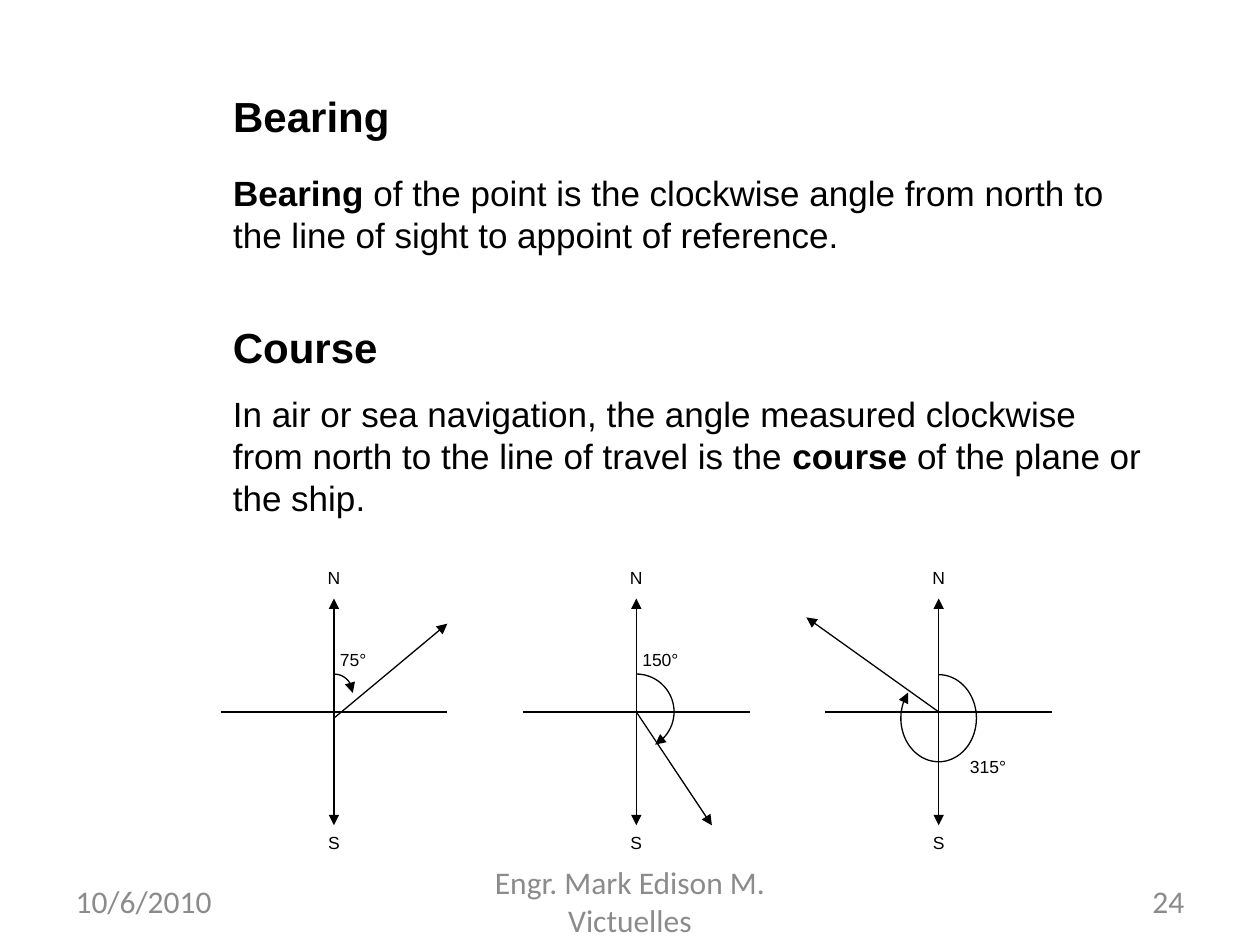
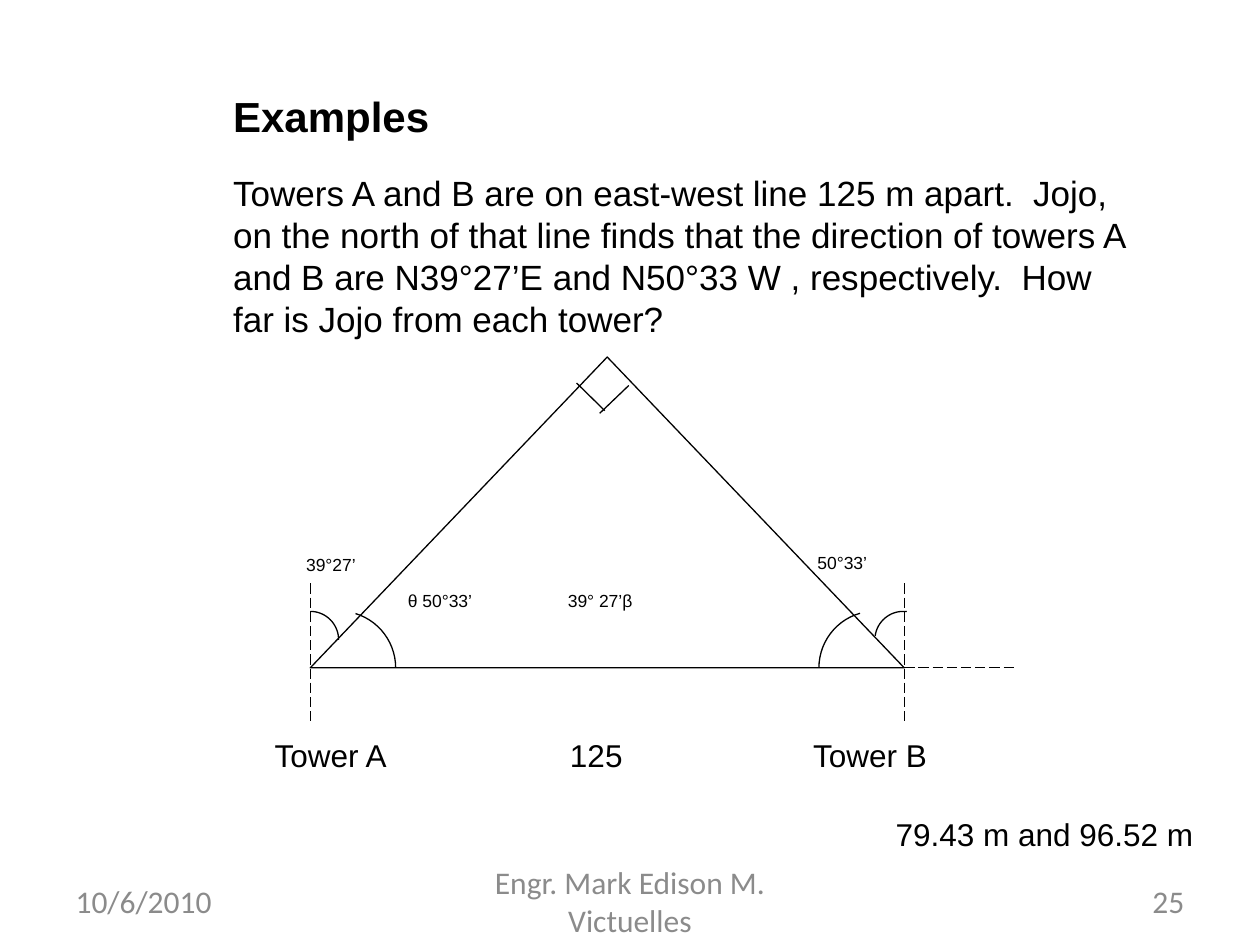
from copy import deepcopy
from math import cos, radians, sin

from lxml.etree import SubElement
from pptx import Presentation
from pptx.dml.color import RGBColor
from pptx.enum.dml import MSO_LINE as Dash
from pptx.enum.shapes import MSO_CONNECTOR as Connector, MSO_SHAPE as Shape, PP_PLACEHOLDER as Holder
from pptx.enum.text import MSO_ANCHOR as Anchor, MSO_AUTO_SIZE as AutoSize, PP_ALIGN as Align
from pptx.oxml.ns import qn
from pptx.util import Pt

BLACK = RGBColor(0, 0, 0)
WHITE = RGBColor(255, 255, 255)
FONT = "Arial"
TITLE_SIZE, BODY_SIZE, LABEL_SIZE, NOTE_SIZE = 24, 20, 18, 10
LINE_WIDTH = 0.75
TEXT_LEFT, TITLE_WIDTH, BODY_WIDTH = 126, 546, 534
TITLE_TOP, BODY_TOP = 48, 94.5
FIRST_NUMBER = 24
DATE, AUTHOR = "10/6/2010", "Engr. Mark Edison M. Victuelles"


def write(frame, text, size=NOTE_SIZE, bold=False, strong=None, align=Align.LEFT):
    frame.word_wrap = True
    frame.auto_size = AutoSize.NONE
    frame.vertical_anchor = Anchor.TOP
    para = frame.paragraphs[0]
    para.alignment = align
    para.space_before = Pt(0)
    before, word, after = text.partition(strong) if strong else (text, "", "")
    for part, heavy in ((before, bold), (word, True), (after, bold)):
        if part:
            span = para.add_run()
            span.text = part
            span.font.name = FONT
            span.font.size = Pt(size)
            span.font.bold = heavy
            span.font.color.rgb = BLACK
    return para


class Page:
    def __init__(self, deck, number):
        self.slide = deck.slides.add_slide(deck.slide_layouts[1])
        self.shapes = self.slide.shapes
        self.footer(number)

    def footer(self, number):
        texts = {Holder.DATE: DATE, Holder.FOOTER: AUTHOR}
        for source in self.slide.slide_layout.placeholders:
            kind = source.placeholder_format.type
            if kind in texts or kind == Holder.SLIDE_NUMBER:
                self.shapes._spTree.append(deepcopy(source.element))
                box = self.shapes[-1]
                if kind in texts:
                    box.text_frame.text = texts[kind]
                else:
                    box.element.find(".//" + qn("a:t")).text = str(number)

    def place(self, box, left, top, width, height):
        box.left, box.top, box.width, box.height = map(Pt, (left, top, width, height))

    def title(self, text):
        box = self.shapes.title
        self.place(box, TEXT_LEFT, TITLE_TOP, TITLE_WIDTH, 36)
        write(box.text_frame, text, size=TITLE_SIZE, bold=True)

    def body(self, text, height, strong=None):
        box = self.slide.placeholders[1]
        self.place(box, TEXT_LEFT, BODY_TOP, BODY_WIDTH, height)
        properties = box.text_frame.paragraphs[0]._p.get_or_add_pPr()
        properties.set("marL", "0")
        properties.set("indent", "0")
        SubElement(properties, qn("a:buNone"))
        write(box.text_frame, text, size=BODY_SIZE, strong=strong)

    def text(self, text, left, top, width, height, **style):
        box = self.shapes.add_textbox(*map(Pt, (left, top, width, height)))
        write(box.text_frame, text, **style)

    def outline(self, shape, head=False, tail=False, dash=None):
        shape.line.color.rgb = BLACK
        shape.line.width = Pt(LINE_WIDTH)
        if dash:
            shape.line.dash_style = dash
        stroke = shape.element.spPr.find(qn("a:ln"))
        for name, wanted in (("a:headEnd", head), ("a:tailEnd", tail)):
            if wanted:
                SubElement(stroke, qn(name), type="triangle")

    def line(self, x1, y1, x2, y2, **ends):
        connector = self.shapes.add_connector(Connector.STRAIGHT, *map(Pt, (x1, y1, x2, y2)))
        self.outline(connector, **ends)
        SubElement(connector.element.spPr, qn("a:effectLst"))

    def arc(self, x, y, radius_x, radius_y, start, end, **ends):
        steps = max(12, abs(end - start) // 5)
        angles = [radians(start + (end - start) * step / steps) for step in range(steps + 1)]
        points = [(Pt(x + radius_x * sin(a)), Pt(y - radius_y * cos(a))) for a in angles]
        builder = self.shapes.build_freeform(*points[0])
        builder.add_line_segments(points[1:], close=False)
        curve = builder.convert_to_shape()
        curve.fill.background()
        curve.shadow.inherit = False
        self.outline(curve, **ends)

    def triangle(self, left, top, width, height):
        shape = self.shapes.add_shape(Shape.ISOSCELES_TRIANGLE, *map(Pt, (left, top, width, height)))
        shape.fill.solid()
        shape.fill.fore_color.rgb = WHITE
        shape.shadow.inherit = False
        self.outline(shape)

    def compass(self, x, y, reach=64.8):
        self.line(x, y - reach, x, y + reach, head=True, tail=True)
        self.line(x - reach, y, x + reach, y)
        for letter, top in (("N", y - 86.4), ("S", y + reach)):
            self.text(letter, x - 21.6, top, 43.2, 32.4, align=Align.CENTER)


def bearing_page(deck):
    page = Page(deck, FIRST_NUMBER)
    page.title("Bearing")
    page.body("Bearing of the point is the clockwise angle from north to the line of sight "
              "to appoint of reference.", 55.5, strong="Bearing")
    page.text("Course", TEXT_LEFT, 180, TITLE_WIDTH, 36, size=TITLE_SIZE, bold=True)
    page.text("In air or sea navigation, the angle measured clockwise from north to the line "
              "of travel is the course of the plane or the ship.",
              TEXT_LEFT, 220.5, BODY_WIDTH, 79, size=BODY_SIZE, strong="course")

    first, gap, middle = 190.8, 172.8, 406.8
    diagrams = [
        ("75°", (-3.6, -39.6), 3.6, (64.8, -50.4), (-10.8, 10.8, 10.8, 90)),
        ("150°", (-3.6, -39.6), 0, (43.2, 64.8), (0, 21.6, 21.6, 150)),
        ("315°", (10.8, 21.6), 0, (-75.6, -54), (3.6, 21.6, 24.9, 306)),
    ]
    for index, (angle, label, ray_start, ray_end, sweep) in enumerate(diagrams):
        x = first + index * gap
        drop, radius_x, radius_y, end = sweep
        page.compass(x, middle)
        page.line(x, middle + ray_start, x + ray_end[0], middle + ray_end[1], tail=True)
        page.arc(x, middle + drop, radius_x, radius_y, 0, end, tail=True)
        page.text(angle, x + label[0], middle + label[1], 43.2, 21.6)


def examples_page(deck):
    page = Page(deck, FIRST_NUMBER + 1)
    page.title("Examples")
    page.body("Towers A and B are on east-west line 125 m apart.  Jojo, on the north of that "
              "line finds that the direction of towers A and B are N39°27’E and N50°33 W , "
              "respectively.  How far is Jojo from each tower?", 103.5)

    tower_a, tower_b, apex, ground = 177.3, 516.7, 204, 381.6
    page.triangle(tower_a, apex, tower_b - tower_a, ground - apex)
    page.line(359.3, 220.3, 342.7, 236.2)
    page.line(345.6, 234.7, 329.5, 218.9)
    for x in (tower_a, tower_b):
        page.line(x, 333.4, x, 414, dash=Dash.LONG_DASH)
    page.line(tower_b, ground, 581, ground, dash=Dash.LONG_DASH)

    page.arc(193.7, ground, 32.4, 32.4, 17, 90)
    page.arc(500.4, ground, 32.4, 32.4, -16, -90)
    page.arc(tower_a, 365.6, 16.2, 16.2, 0, 90)
    page.arc(516.2, 365.6, 16.2, 16.2, -82, 7)

    for text, left, top in (("39°27’", 167.8, 313.2), ("50°33’", 460, 311.8),
                            ("θ 50°33’", 226, 333.4), ("39° 27’β", 317.4, 333.4)):
        page.text(text, left, top, 80.6, 32.4)
    for text, left in (("Tower A", 149.8), ("125", 318.6), ("Tower B", 457.5)):
        page.text(text, left, 416.9, 90, 29, size=LABEL_SIZE)
    page.text("79.43 m and 96.52 m", 504.7, 462.2, 190, 29, size=LABEL_SIZE)


def main():
    deck = Presentation()
    deck.slide_width, deck.slide_height = Pt(720), Pt(540)
    deck.element.set("firstSlideNum", str(FIRST_NUMBER))
    bearing_page(deck)
    examples_page(deck)
    deck.save("out.pptx")


if __name__ == "__main__":
    main()
